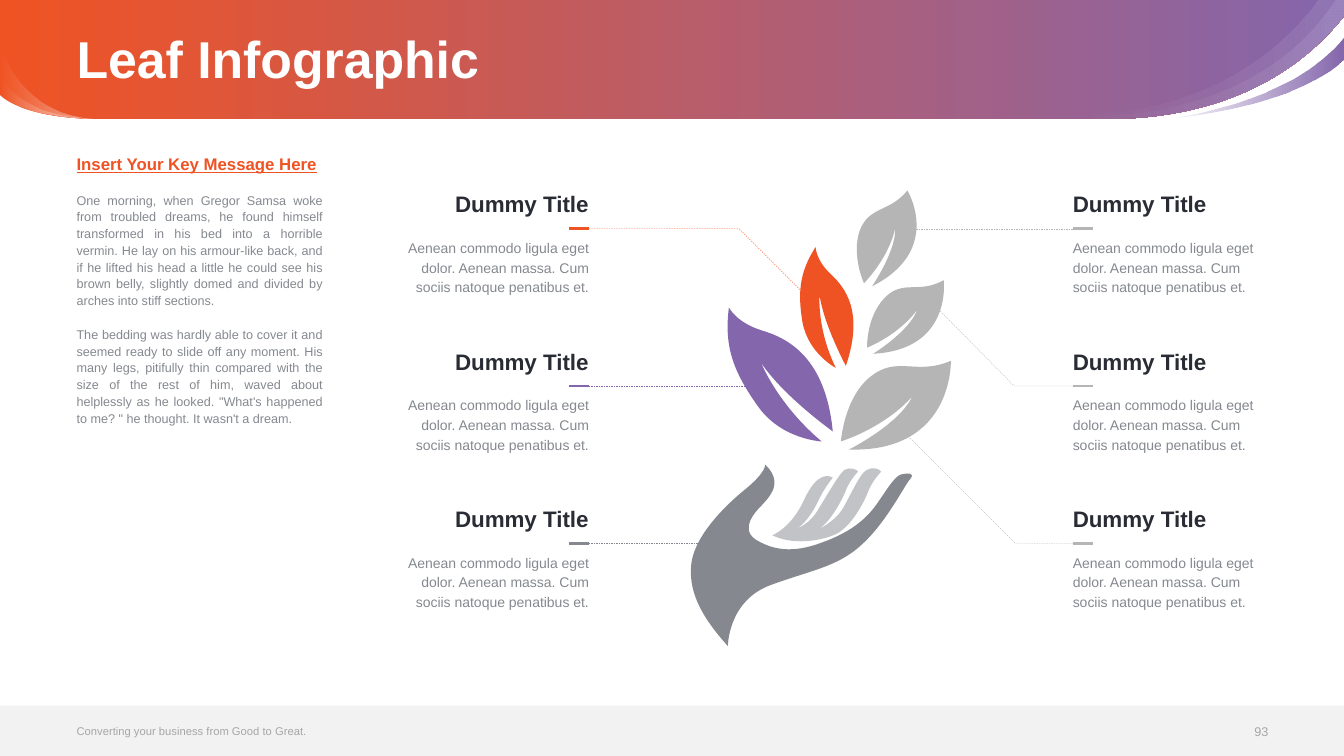
import pptx
import pptx.util
import pptx.dml.color
import pptx.enum.dml
import pptx.enum.shapes
import pptx.enum.text
import pptx.oxml.ns
from lxml import etree
from pptx.util import Inches

ALIGN = pptx.enum.text.PP_ALIGN
MIDDLE = pptx.enum.text.MSO_ANCHOR.MIDDLE
ORANGE, PURPLE, SLATE, SILVER = "F05323", "8466AC", "85898F", "B5B5B5"
WHITE, DARK, FOOTER_GREY = "FFFFFF", "292C34", "A6A6A6"

KEY_MESSAGE = [
    "Insert Your Key Message Here",
    "One morning, when Gregor Samsa woke from troubled dreams, he found himself transformed in his bed into a horrible vermin. He lay on his armour-like back, and if he lifted his head a little he could see his brown belly, slightly domed and divided by arches into stiff sections.",
    "The bedding was hardly able to cover it and seemed ready to slide off any moment. His many legs, pitifully thin compared with the size of the rest of him, waved about helplessly as he looked. \"What's happened to me? \" he thought. It wasn't a dream.",
]
ENTRY_TEXT = "Aenean commodo ligula eget dolor. Aenean massa. Cum sociis natoque penatibus et."

# Outlines: a start point, then three points (two controls, one end) per curve.
# Header: outline, then (position, colour, opacity) of both gradient stops.
HEADER = [
    ("13.33 0  13.33 0.16 13.33 0.16 13.33 0.16  12.66 1 11.7 1.17 11.05 1.18  "
     "0.97 1.18 0.97 1.18 0.97 1.18  0.18 1.17 0 0.94 0 0.94  0 0 0 0 0 0",
     (0, ORANGE, 100), (100, PURPLE, 100)),
    ("13.33 0  13.33 0.16 13.33 0.16 13.33 0.16  12.24 1.53 10.39 1.13 10.34 1.12  "
     "10.4 1.12 12.32 1.39 13.24 0",
     (15, WHITE, 0), (100, WHITE, 10)),
    ("11.57 1.18  11.57 1.18 12.82 1.03 13.33 0.37  13.33 0.59 13.33 0.59 13.33 0.59  "
     "13.33 0.59 12.94 1.04 11.57 1.18",
     (0, PURPLE, 0), (100, PURPLE, 100)),
    ("13.33 0  13.33 0.16 13.33 0.16 13.33 0.16  12.23 1.55 10.34 1.12 10.34 1.12  "
     "11.89 1.22 12.7 0.5 13.07 0",
     (15, WHITE, 0), (100, WHITE, 10)),
    ("0.98 1.18  0.18 1.17 0 0.94 0 0.94  0 0.76 0 0.76 0 0.76  0 0.76 0.18 1.17 0.98 1.18",
     (0, WHITE, 0), (100, WHITE, 50)),
    ("0.98 1.18  0.18 1.17 0 0.94 0 0.94  0 0.45 0 0.45 0 0.45  0 0.45 0.18 1.16 0.98 1.18",
     (0, WHITE, 0), (100, WHITE, 50)),
]
LEAVES = [
    (SILVER, "8.34 4.38  8.34 4.38 8.37 3.95 8.63 3.74  8.9 3.52 9.08 3.73 9.43 3.58  "
     "9.43 3.58 9.46 4.49 8.42 4.46  8.42 4.46 8.92 4.21 9.05 3.93  9.05 3.93 8.83 4.21 8.34 4.38"),
    (PURPLE, "8.15 4.38  8.15 4.38 7.74 4.36 7.51 4.02  7.27 3.68 7.18 3.43 7.23 3.05  "
     "7.23 3.05 7.3 3.2 7.56 3.28  7.83 3.36 8.19 3.56 8.26 4.28  8.26 4.28 7.77 3.93 7.55 3.6  "
     "7.55 3.6 7.71 4.01 8.15 4.38"),
    (SILVER, "8.6 3.45  8.6 3.45 8.59 3.14 8.78 2.95  8.96 2.77 9.11 2.92 9.36 2.78  "
     "9.36 2.78 9.45 3.47 8.66 3.51  8.66 3.51 9.02 3.29 9.1 3.07  9.1 3.07 8.95 3.3 8.6 3.45"),
    (SILVER, "8.57 2.81  8.57 2.81 8.44 2.53 8.53 2.28  8.63 2.04 8.82 2.11 9 1.89  "
     "9 1.89 9.36 2.48 8.65 2.84  8.65 2.84 8.89 2.49 8.88 2.26  8.88 2.26 8.84 2.52 8.57 2.81"),
    (ORANGE, "8.29 3.65  8.29 3.65 8.02 3.51 7.96 3.2  7.91 2.9 7.93 2.7 8.09 2.45  "
     "8.09 2.45 8.09 2.58 8.24 2.72  8.39 2.86 8.57 3.1 8.39 3.63  8.39 3.63 8.17 3.22 8.13 2.93  "
     "8.13 2.93 8.1 3.26 8.29 3.65"),
]
PALM = ("7.59 4.61  7.59 4.61 7.6 4.68 7.41 4.84  7.21 5 6.91 5.29 6.86 5.57  "
        "6.82 5.85 6.94 6.1 7.22 6.41  7.22 6.41 7.22 5.97 7.63 5.81  8.03 5.66 8.3 5.63 8.54 5.41  "
        "8.79 5.19 8.98 4.8 9.03 4.75  9.08 4.69 9 4.69 8.93 4.71  8.86 4.74 8.77 4.9 8.69 5.01  "
        "8.61 5.12 8.47 5.27 8.16 5.38  7.85 5.5 7.65 5.45 7.49 5.35  7.34 5.24 7.49 5.08 7.55 5.02  "
        "7.61 4.95 7.79 4.8 7.59 4.61")
FINGERS = ("7.66 5.31  7.66 5.31 7.85 5.24 7.98 4.95  8.11 4.67 8.23 4.72 8.26 4.74  "
           "8.26 4.74 8.17 4.85 8.12 4.96  8.07 5.07 7.99 5.19 7.91 5.24  7.91 5.24 8.04 5.2 8.13 5.03  "
           "8.23 4.87 8.33 4.69 8.38 4.66  8.43 4.63 8.51 4.66 8.51 4.68  8.51 4.68 8.42 4.77 8.38 4.89  "
           "8.33 5 8.23 5.18 8.12 5.25  8.12 5.25 8.27 5.18 8.35 5.06  8.43 4.93 8.53 4.69 8.6 4.66  "
           "8.66 4.63 8.72 4.65 8.74 4.68  8.74 4.68 8.65 4.77 8.61 4.88  8.57 4.98 8.45 5.22 8.29 5.3  "
           "8.13 5.37 7.86 5.41 7.66 5.31")

# Entries: row, on the right, colour, leader points as (x, distance below the rule).
ENTRIES = [
    (0, False, ORANGE, [(5.79, 0), (7.33, 0), (7.97, 0.64)]),
    (0, True, SILVER, [(10.69, 0), (9.09, 0)]),
    (1, False, PURPLE, [(5.79, 0), (7.44, 0)]),
    (1, True, SILVER, [(10.69, 0), (10.06, 0), (9.29, -0.78)]),
    (2, False, SLATE, [(5.79, 0), (7.05, 0)]),
    (2, True, SILVER, [(10.69, 0), (10.07, 0), (8.96, -1.11)]),
]
FIRST_RULE, ROW_PITCH = 2.27, 1.56


def qn(tag):
    return pptx.oxml.ns.qn(tag)


def rgb(color):
    return pptx.dml.color.RGBColor.from_string(color)


def set_opacity(s, percents):
    """Give each colour of the shape's fill its opacity, in order."""
    for color, percent in zip(list(s.element.spPr.iter(qn("a:srgbClr"))), percents):
        if percent < 100:
            etree.SubElement(color, qn("a:alpha")).set("val", str(percent * 1000))


def add_freeform(slide, points, close):
    emu = [(Inches(x), Inches(y)) for x, y in points]
    builder = slide.shapes.build_freeform(*emu[0], scale=1.0)
    builder.add_line_segments(emu[1:], close=close)
    s = builder.convert_to_shape()
    s.shadow.inherit = False
    return s


def add_curved(slide, outline):
    """Join the end points of the outline, then bend each side with its controls."""
    numbers = [float(n) for n in outline.split()]
    points = list(zip(numbers[::2], numbers[1::2]))
    s = add_freeform(slide, points[::3], False)
    s.line.fill.background()
    sides = list(s.element.spPr.iter(qn("a:lnTo")))
    for i, side in enumerate(sides):
        curve = etree.Element(qn("a:cubicBezTo"))
        for x, y in points[3 * i + 1:3 * i + 4]:
            pt = etree.SubElement(curve, qn("a:pt"))
            pt.set("x", str(Inches(x) - s.left))
            pt.set("y", str(Inches(y) - s.top))
        side.getparent().replace(side, curve)
    etree.SubElement(curve.getparent(), qn("a:close"))
    return s


def add_solid(slide, outline, color, opacity=100):
    s = add_curved(slide, outline)
    s.fill.solid()
    s.fill.fore_color.rgb = rgb(color)
    set_opacity(s, [opacity])


def add_gradient(slide, outline, *stops):
    s = add_curved(slide, outline)
    s.fill.gradient()
    s.fill.gradient_angle = 0
    for stop, (position, color, _) in zip(s.fill.gradient_stops, stops):
        stop.position = position / 100
        stop.color.rgb = rgb(color)
    set_opacity(s, [opacity for _, _, opacity in stops])


def add_line(slide, start, end):
    s = slide.shapes.add_connector(pptx.enum.shapes.MSO_CONNECTOR.STRAIGHT,
                                   *map(Inches, start + end))
    etree.SubElement(s.element.spPr, qn("a:effectLst"))
    return s


def style_line(s, color, width):
    s.line.color.rgb = rgb(color)
    s.line.width = pptx.util.Pt(width)


def format_frame(tf, anchor=pptx.enum.text.MSO_ANCHOR.TOP):
    tf.word_wrap = True
    tf.auto_size = pptx.enum.text.MSO_AUTO_SIZE.NONE
    tf.margin_left = tf.margin_top = tf.margin_right = tf.margin_bottom = 0
    tf.vertical_anchor = anchor


def format_paragraph(p, size, color, bold=False, align=ALIGN.LEFT, spacing=None):
    p.alignment = align
    p.line_spacing = spacing
    for r in p.runs:
        r.font.name = "Arial"
        r.font.size = pptx.util.Pt(size)
        r.font.bold = bold
        r.font.color.rgb = rgb(color)


def add_text(slide, box, text, size, color, anchor=pptx.enum.text.MSO_ANCHOR.TOP, **style):
    tf = slide.shapes.add_textbox(*map(Inches, box)).text_frame
    format_frame(tf, anchor)
    tf.text = text
    for p in tf.paragraphs:
        format_paragraph(p, size, color, **style)
    return tf


def add_title(slide, text):
    s = slide.shapes.title
    s.left, s.top, s.width, s.height = map(Inches, (0.76, 0.05, 11.81, 1.13))
    s.text_frame.text = text
    format_frame(s.text_frame, MIDDLE)
    format_paragraph(s.text_frame.paragraphs[0], 37, WHITE, bold=True, spacing=0.9)
    s.element.getparent().append(s.element)  # in front of the header


def add_key_message(slide):
    spacing = pptx.util.Pt(12)
    tf = add_text(slide, (0.76, 1.56, 2.44, 5.19), "\n".join(KEY_MESSAGE), 9, SLATE,
                  align=ALIGN.JUSTIFY, spacing=spacing)
    heading, *body = tf.paragraphs
    format_paragraph(heading, 12, ORANGE, True, ALIGN.JUSTIFY, spacing)
    heading.runs[0].font.underline = True
    for p in body:
        p.space_before = spacing


def add_leader(slide, points, color):
    if len(points) == 2:
        s = add_line(slide, *points)
    else:
        s = add_freeform(slide, points, False)
        s.fill.background()
    style_line(s, color, 0.25)
    s.line.dash_style = pptx.enum.dml.MSO_LINE.DASH


def add_entry(slide, row, on_right, color, leader):
    y = FIRST_RULE + row * ROW_PITCH
    left, rule_left = (10.64, 10.64) if on_right else (3.91, 5.64)
    align = ALIGN.LEFT if on_right else ALIGN.RIGHT
    add_leader(slide, [(x, y + drop) for x, drop in leader], color)
    add_text(slide, (left, y + 0.08, 1.93, 0.59), ENTRY_TEXT, 10, SLATE,
             align=align, spacing=pptx.util.Pt(14))
    style_line(add_line(slide, (rule_left, y), (rule_left + 0.2, y)), color, 2)
    add_text(slide, (left, y - 0.38, 1.93, 0.27), "Dummy Title", 16, DARK, bold=True, align=align)


def add_footer(slide):
    s = slide.shapes.add_shape(pptx.enum.shapes.MSO_SHAPE.RECTANGLE,
                               *map(Inches, (0, 7, 13.33, 0.5)))
    s.shadow.inherit = False
    s.line.fill.background()
    s.fill.solid()
    s.fill.fore_color.rgb = rgb("F2F2F2")
    add_text(slide, (0.76, 7.12, 5.23, 0.26), "Converting your business from Good to Great.",
             8, FOOTER_GREY, MIDDLE)
    add_text(slide, (11.95, 7.13, 0.63, 0.26), "93", 9, FOOTER_GREY, MIDDLE, align=ALIGN.RIGHT)


def main():
    prs = pptx.Presentation()
    prs.slide_width, prs.slide_height = Inches(13.33), Inches(7.5)
    slide = prs.slides.add_slide(prs.slide_layouts[5])
    for band in HEADER:
        add_gradient(slide, *band)
    add_title(slide, "Leaf Infographic")
    add_footer(slide)
    add_key_message(slide)
    for entry in ENTRIES:
        add_entry(slide, *entry)
    for color, outline in LEAVES:
        add_solid(slide, outline, color)
    add_solid(slide, PALM, SLATE)
    add_solid(slide, FINGERS, SLATE, opacity=50)
    prs.save("out.pptx")


if __name__ == "__main__":
    main()
